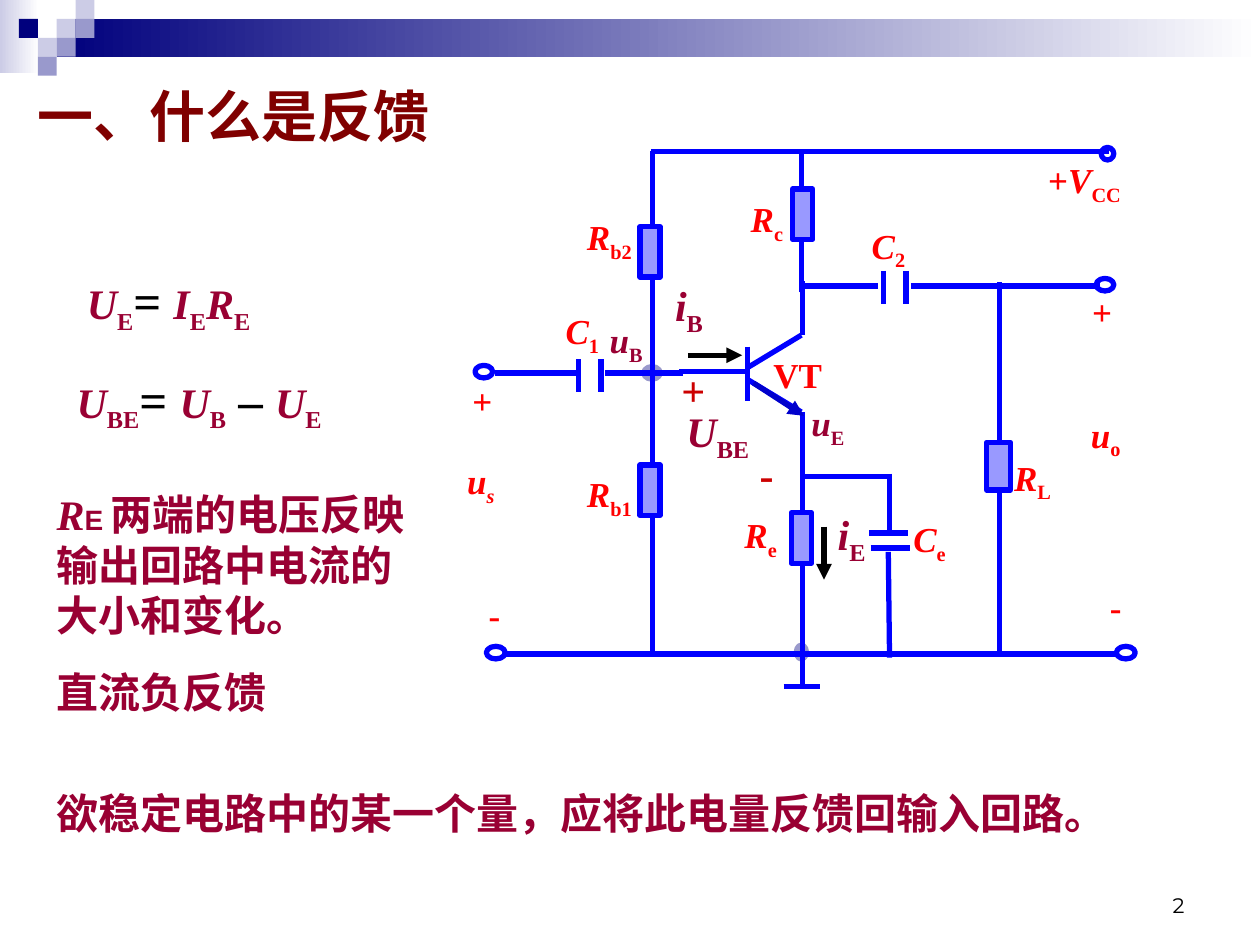
from dataclasses import dataclass
from lxml import etree
from pptx import Presentation
from pptx.dml.color import RGBColor
from pptx.enum.shapes import MSO_CONNECTOR, MSO_SHAPE
from pptx.enum.text import MSO_ANCHOR, MSO_AUTO_SIZE, PP_ALIGN
from pptx.oxml.ns import qn
from pptx.util import Inches, Pt

RECT, OVAL = MSO_SHAPE.RECTANGLE, MSO_SHAPE.OVAL
STRAIGHT = MSO_CONNECTOR.STRAIGHT
TOP, BOTTOM = MSO_ANCHOR.TOP, MSO_ANCHOR.BOTTOM
LEFT, RIGHT = PP_ALIGN.LEFT, PP_ALIGN.RIGHT


@dataclass(frozen=True)
class Theme:
    serif: str = "Times New Roman"
    sans: str = "Arial"
    number: str = "Montserrat"
    title: str = "800000"
    maroon: str = "990033"
    red: str = "FF0000"
    sign: str = "CC0000"
    wire: str = "0000FF"
    emitter: str = "0000CC"
    resistor: str = "9999FF"
    violet: str = "9999CC"
    pale: str = "CCCCE6"
    navy: str = "00007D"
    white: str = "FFFFFF"
    black: str = "000000"
    title_pt: int = 32
    sign_pt: int = 28
    body_pt: int = 24
    label_pt: int = 20
    small_pt: int = 16
    number_pt: int = 12
    line_pt: int = 3


T = Theme()


def rgb(color):
    return RGBColor.from_string(color)


def add_run(p, text, size, color, style="", font=T.serif, bold=True):
    """Style letters: i for italic, s for subscript."""
    r = p.add_run()
    r.text = text
    f = r.font
    f.name, f.size, f.bold, f.italic = font, Pt(size), bold, "i" in style
    f.color.rgb = rgb(color)
    if "s" in style:
        r._r.get_or_add_rPr().set("baseline", "-25000")


def symbol(base, sub, sub_style="s"):
    return [(base, "i"), (sub, sub_style)]


def add_text_box(s, x, y, w, h, anchor=TOP):
    tf = s.shapes.add_textbox(Inches(x), Inches(y), Inches(w), Inches(h)).text_frame
    tf.word_wrap = True
    tf.vertical_anchor = anchor
    return tf


def add_label(s, x, y, w, runs, size, color):
    h = 0.44 if size == T.label_pt else 0.5
    if any("s" in style for _, style in runs):
        h += 0.05
    p = add_text_box(s, x, y, w, h).paragraphs[0]
    for text, style in runs:
        add_run(p, text, size, color, style)


def add_figure(s, kind, x, y, w, h, fill=None, line=None):
    sp = s.shapes.add_shape(kind, Inches(x), Inches(y), Inches(w), Inches(h))
    sp.shadow.inherit = False
    if fill:
        sp.fill.solid()
        sp.fill.fore_color.rgb = rgb(fill)
    else:
        sp.fill.background()
    if line:
        sp.line.color.rgb = rgb(line)
        sp.line.width = Pt(T.line_pt)
    else:
        sp.line.fill.background()
    return sp


def add_line(s, x1, y1, x2, y2, color=T.wire, arrow=False):
    c = s.shapes.add_connector(STRAIGHT, Inches(x1), Inches(y1), Inches(x2), Inches(y2))
    c.line.color.rgb = rgb(color)
    c.line.width = Pt(T.line_pt)
    if arrow:
        etree.SubElement(c.line._get_or_add_ln(), qn("a:tailEnd"), type="triangle")
    etree.SubElement(c._element.spPr, qn("a:effectLst"))


def banner(s, x, y, w):
    for dx, dy, bw, bh, start in [(0, 0, 0.31, 0.58, T.pale),
                                  (0.45, 0.15, w - 0.45, 0.3, T.navy)]:
        fill = add_figure(s, RECT, x + dx, y + dy, bw, bh).fill
        fill.gradient()
        fill.gradient_angle = 0
        for stop, color, pos in zip(fill.gradient_stops, (start, T.white), (0, 1)):
            stop.color.rgb = rgb(color)
            stop.position = pos
    tile = 0.15
    for col, row, color in [(3, 1, T.pale), (4, 0, T.pale), (4, 1, T.violet),
                            (2, 2, T.pale), (1, 1, T.navy), (3, 2, T.violet),
                            (2, 3, T.violet)]:
        add_figure(s, RECT, x + col * tile, y + row * tile, tile, tile, color)


def heading(s, x, y, w, h):
    sp = s.shapes.title
    sp.left, sp.top, sp.width, sp.height = map(Inches, (x, y, w, h))
    tf = sp.text_frame
    tf.word_wrap, tf.auto_size, tf.vertical_anchor = True, MSO_AUTO_SIZE.NONE, TOP
    p = tf.paragraphs[0]
    p.alignment = LEFT
    add_run(p, "一、什么是反馈", T.title_pt, T.title)


def equation(s, x, y, w, terms):
    """Terms are (base, subscript) symbols or plain operator strings."""
    p = add_text_box(s, x, y, w, 0.61).paragraphs[0]
    for term in terms:
        if isinstance(term, str):
            add_run(p, term, T.sign_pt, T.black)
        else:
            for text, style in symbol(*term):
                add_run(p, text, T.body_pt, T.maroon, style)


def explanation(s, x, y, w, h):
    tf = add_text_box(s, x, y, w, h)
    p = tf.paragraphs[0]
    add_run(p, "R", T.body_pt, T.maroon, "i")
    add_run(p, "E ", T.small_pt, T.maroon, font=T.sans)
    add_run(p, "两端的电压反映输出回路中电流的大小和变化。", T.body_pt, T.maroon, font=T.sans)
    p = tf.add_paragraph()
    p.space_before = Pt(15)
    add_run(p, "直流负反馈", T.body_pt, T.maroon)


def conclusion(s, x, y, w, h):
    p = add_text_box(s, x, y, w, h).paragraphs[0]
    add_run(p, "欲稳定电路中的某一个量，应将此电量反馈回输入回路。", T.body_pt, T.maroon)


def circuit_parts(s, x, y):
    for dx, dy, w, h in [(2.72, 4.02, 0.08, 0.11), (1.51, 1.81, 0.13, 0.1)]:
        add_figure(s, OVAL, x + dx, y + dy, w, h, T.violet, T.violet)
    wires = [
        (1.57, 0.1, 5.2, 0.1), (0.42, 4.09, 5.27, 4.09),           # supply and common rails
        (1.58, 0.1, 1.58, 4.09), (4.33, 1.14, 4.33, 4.09),         # bias and load branches
        (2.76, 1.22, 2.76, 0.08), (2.77, 1.56, 2.77, 1.13),        # collector branch
        (2.77, 2.17, 2.77, 2.6), (2.77, 2.56, 2.77, 4.35),         # emitter branch
        (2.62, 4.35, 2.91, 4.35),                                  # ground
        (2.33, 1.65, 2.33, 2.08), (2.33, 1.82, 2.76, 1.56),        # transistor
        (2.33, 1.91, 2.76, 2.17), (2.33, 1.85, 1.79, 1.85),
        (0.99, 1.86, 0.33, 1.86), (1.2, 1.86, 1.82, 1.86),         # input coupling
        (2.79, 1.17, 3.37, 1.17), (3.63, 1.17, 5.13, 1.17),        # output coupling
        (2.77, 2.68, 3.48, 2.68), (3.46, 2.66, 3.46, 3.12),        # bypass branch
        (3.45, 3.28, 3.46, 4.12),
        (3.3, 3.13, 3.61, 3.13), (3.31, 3.25, 3.62, 3.25),
    ]
    for px, py in [(0.99, 1.75), (3.41, 1.05)]:                    # capacitor plates
        wires += [(px + gap, py, px + gap, py + 0.26) for gap in (0, 0.18)]
    for x1, y1, x2, y2 in wires:
        add_line(s, x + x1, y + y1, x + x2, y + y2)
    for x1, y1, x2, y2, color in [(2.38, 1.94, 2.78, 2.2, T.emitter),
                                  (1.86, 1.72, 2.29, 1.72, T.black),
                                  (2.94, 3.08, 2.94, 3.5, T.black)]:
        add_line(s, x + x1, y + y1, x + x2, y + y2, color, arrow=True)
    for dx, dy, w in [(5.14, 0.07, 0.1), (0.26, 4.03, 0.15), (5.26, 4.03, 0.15),
                      (5.1, 1.11, 0.14), (0.17, 1.8, 0.14)]:
        add_figure(s, OVAL, x + dx, y + dy, w, 0.1, line=T.wire)
    for dx, dy, w, h in [(4.23, 2.41, 0.19, 0.38), (2.69, 0.4, 0.16, 0.4),
                         (1.48, 0.7, 0.16, 0.4), (1.48, 2.59, 0.16, 0.4),
                         (2.68, 2.97, 0.16, 0.4)]:
        add_figure(s, RECT, x + dx, y + dy, w, h, T.resistor, T.wire)


def circuit_labels(s, x, y):
    plus, minus = [("+", "")], [("-", "")]
    groups = [
        (T.label_pt, T.red, [
            (4.35, 2.47, 0.64, symbol("R", "L")), (3.22, 0.63, 0.57, symbol("C", "2")),
            (0.96, 2.6, 0.71, symbol("R", "b1")), (0.96, 0.56, 0.72, symbol("R", "b2")),
            (2.26, 0.42, 0.59, symbol("R", "c")), (2.44, 1.66, 0.75, [("VT", "")]),
            (0.05, 1.86, 0.63, plus), (0.18, 3.56, 0.74, minus),
            (0.01, 2.5, 1.09, symbol("u", "s", "is")), (0.79, 1.31, 0.52, symbol("C", "1")),
            (4.62, 0.11, 0.99, plus + symbol("V", "CC")),
            (4.97, 1.16, 0.62, plus), (5.11, 3.5, 0.74, minus),
            (4.96, 2.13, 0.73, symbol("u", "o")), (2.21, 2.93, 0.64, symbol("R", "e")),
            (3.55, 2.96, 0.62, symbol("C", "e"))]),
        (T.label_pt, T.maroon, [
            (1.14, 1.38, 0.71, symbol("u", "B")), (2.74, 2.04, 0.65, symbol("u", "E"))]),
        (T.body_pt, T.maroon, [
            (1.66, 1.07, 0.63, symbol("i", "B")), (2.95, 2.89, 0.55, symbol("i", "E")),
            (1.75, 2.07, 0.87, symbol("U", "BE"))]),
        (T.body_pt, T.sign, [(1.71, 1.74, 0.46, plus), (2.33, 2.41, 0.46, minus)]),
    ]
    for size, color, labels in groups:
        for dx, dy, w, runs in labels:
            add_label(s, x + dx, y + dy, w, runs, size, color)


def page_number(s, x, y, w, h):
    p = add_text_box(s, x, y, w, h, BOTTOM).paragraphs[0]
    p.alignment = RIGHT
    add_run(p, "2", T.number_pt, T.black, font=T.number, bold=False)


def main():
    prs = Presentation()
    prs.slide_width, prs.slide_height = Inches(10), Inches(7.5)
    s = prs.slides.add_slide(prs.slide_layouts[5])
    banner(s, 0, 0, 10)
    heading(s, 0.2, 0.6, 4.99, 0.64)
    equation(s, 0.59, 2.1, 2.41, [("U", "E"), "= ", ("I", "E"), ("R", "E")])
    equation(s, 0.51, 2.88, 3.05, [("U", "BE"), "= ", ("U", "B"), " – ", ("U", "E")])
    circuit_parts(s, 3.6, 1.1)
    circuit_labels(s, 3.6, 1.1)
    explanation(s, 0.35, 3.83, 3.11, 1.91)
    conclusion(s, 0.35, 6.2, 9.29, 0.5)
    page_number(s, 7.17, 6.83, 2.33, 0.5)
    prs.save("out.pptx")


if __name__ == "__main__":
    main()
